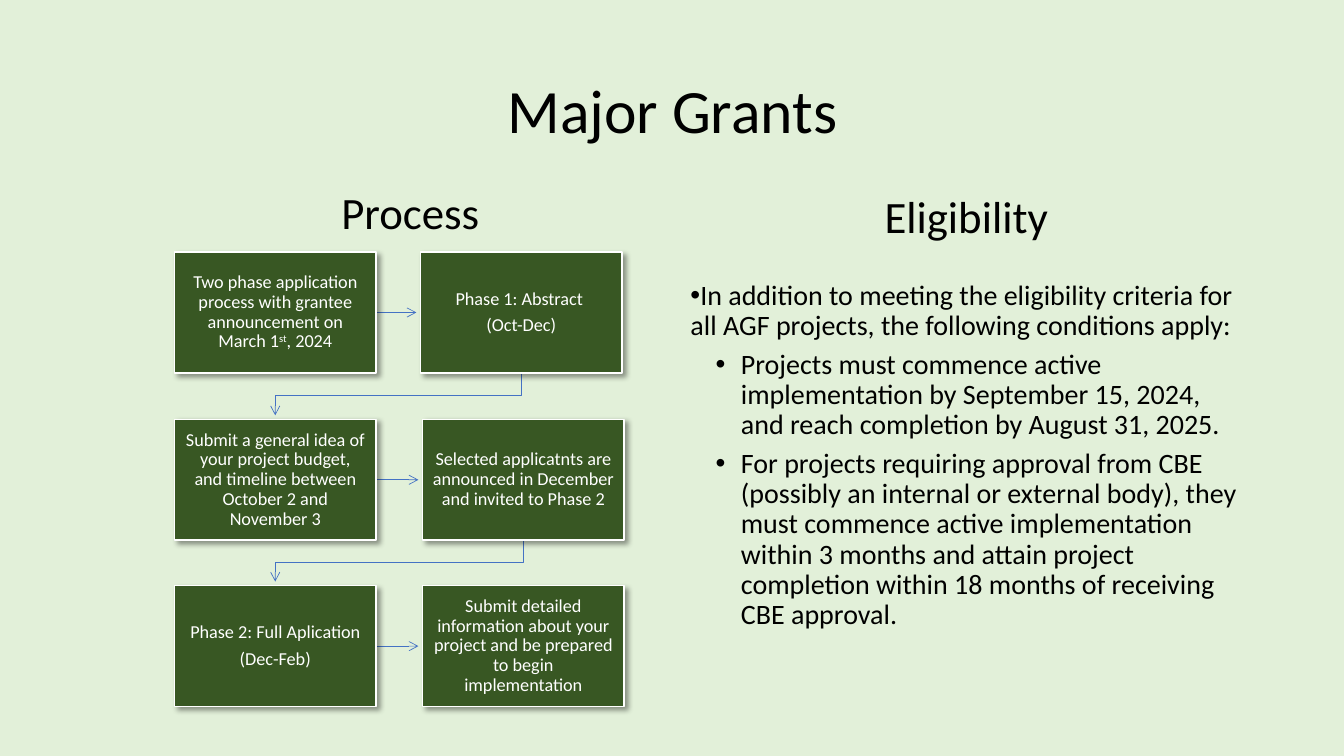
"""Build the Major Grants slide: a six-step process flow beside the eligibility conditions."""
from lxml.etree import SubElement
from pptx import Presentation
from pptx.dml.color import RGBColor
from pptx.enum.shapes import MSO_CONNECTOR, MSO_SHAPE
from pptx.enum.text import MSO_ANCHOR, PP_ALIGN
from pptx.oxml import parse_xml
from pptx.oxml.ns import nsdecls, qn
from pptx.util import Inches, Pt

COLORS = {"page": "E2F0D9", "text": "000000", "step": "385723",
          "white": "FFFFFF", "arrow": "4472C4"}
SHADOW = (f'<a:effectLst {nsdecls("a")}><a:outerShdw blurRad="50800" dist="38100" '
          'dir="2700000" algn="tl" rotWithShape="0"><a:srgbClr val="000000">'
          '<a:alpha val="40000"/></a:srgbClr></a:outerShdw></a:effectLst>')


def add_span(para, text, size, color):
    span = para.add_run()
    span.text = text
    span.font.name = "Calibri"
    span.font.size = Pt(size)
    span.font.color.rgb = RGBColor.from_string(COLORS[color])
    return span


def style_arrow(arrow):
    arrow.line.color.rgb = RGBColor.from_string(COLORS["arrow"])
    arrow.line.width = Pt(0.5)
    SubElement(arrow.line._get_or_add_ln(), qn("a:tailEnd"), type="arrow")
    SubElement(arrow._element.spPr, qn("a:effectLst"))


deck = Presentation()
deck.slide_width, deck.slide_height = Inches(13.33), Inches(7.5)
page = deck.slides.add_slide(deck.slide_layouts[6])
page.background.fill.solid()
page.background.fill.fore_color.rgb = RGBColor.from_string(COLORS["page"])

headings = [
    ("Major Grants", 44, (0.92, 0.4, 11.5, 1.45), MSO_ANCHOR.MIDDLE),
    ("Process", 32, (2.07, 1.52, 4, 0.9), MSO_ANCHOR.BOTTOM),
    ("Eligibility", 32, (6.75, 1.56, 5.67, 0.9), MSO_ANCHOR.BOTTOM),
]
for text, size, place, anchor in headings:
    box = page.shapes.add_textbox(*map(Inches, place))
    box.text_frame.word_wrap = True
    box.text_frame.vertical_anchor = anchor
    para = box.text_frame.paragraphs[0]
    para.alignment = PP_ALIGN.CENTER
    para.line_spacing = 0.9
    add_span(para, text, size, "text")

step_width, step_height = 2, 1.2
left_column = 1.73
rows = [
    (2.5, 4.17, [["Two phase application process with grantee announcement on March 1",
                  "st", ", 2024"]],
     [["Phase 1: Abstract "], ["(Oct-Dec)"]]),
    (4.16, 4.19, [["Submit a general idea of your project budget, and timeline between "
                   "October 2 and November 3"]],
     [["Selected applicatnts are announced in December and invited to Phase 2"]]),
    (5.81, 4.19, [["Phase 2: Full Aplication"], ["(Dec-Feb)"]],
     [["Submit detailed information about your project and be prepared to begin "
       "implementation"]]),
]

for index, (top, right_column, left_text, right_text) in enumerate(rows):
    middle = top + step_height / 2
    across = page.shapes.add_connector(
        MSO_CONNECTOR.STRAIGHT, Inches(left_column + step_width), Inches(middle),
        Inches(right_column - 0.04), Inches(middle))
    style_arrow(across)

    if index < len(rows) - 1:
        start_x, end_x = right_column + step_width / 2, left_column + step_width / 2
        start_y, end_y = top + step_height, rows[index + 1][0] - 0.04
        turn_y = start_y + 0.22
        outline = page.shapes.build_freeform(Inches(start_x), Inches(start_y))
        corners = [(start_x, turn_y), (end_x, turn_y), (end_x, end_y)]
        outline.add_line_segments([(Inches(x), Inches(y)) for x, y in corners], close=False)
        down = outline.convert_to_shape()
        down.fill.background()
        style_arrow(down)

    for left, paragraphs in ((left_column, left_text), (right_column, right_text)):
        step = page.shapes.add_shape(MSO_SHAPE.RECTANGLE, Inches(left), Inches(top),
                                     Inches(step_width), Inches(step_height))
        step.fill.solid()
        step.fill.fore_color.rgb = RGBColor.from_string(COLORS["step"])
        step.line.color.rgb = RGBColor.from_string(COLORS["white"])
        step.line.width = Pt(1)
        step._element.spPr.append(parse_xml(SHADOW))
        frame = step.text_frame
        frame.word_wrap = True
        frame.vertical_anchor = MSO_ANCHOR.MIDDLE
        frame.margin_left = frame.margin_right = Inches(0.1)
        frame.margin_top = frame.margin_bottom = Inches(0.1)
        for number, texts in enumerate(paragraphs):
            para = frame.add_paragraph() if number else frame.paragraphs[0]
            para.alignment = PP_ALIGN.CENTER
            para.line_spacing = 0.9
            para.space_after = Pt(4.55)
            for text in texts:
                span = add_span(para, text, 13, "white")
                if text == "st":
                    span._r.get_or_add_rPr().set("baseline", "30000")

conditions = [
    (0, "In addition to meeting the eligibility criteria for all AGF projects, "
        "the following conditions apply:"),
    (1, "Projects must commence active implementation by September 15, 2024, "
        "and reach completion by August 31, 2025."),
    (1, "For projects requiring approval from CBE (possibly an internal or external body), "
        "they must commence active implementation within 3 months and attain project "
        "completion within 18 months of receiving CBE approval."),
]
box = page.shapes.add_textbox(Inches(6.75), Inches(2.74), Inches(5.67), Inches(4.03))
frame = box.text_frame
frame.word_wrap = True
for number, (level, text) in enumerate(conditions):
    para = frame.add_paragraph() if number else frame.paragraphs[0]
    para.level = level
    para.line_spacing = 0.9
    para.space_after = Pt(6)
    properties = para._p.get_or_add_pPr()
    properties.set("marL", str(Inches(0.5 * level)))
    properties.set("indent", str(Inches(-0.25)))
    SubElement(properties, qn("a:buFont"), typeface="Arial")
    SubElement(properties, qn("a:buChar"), char="•")
    add_span(para, text, 20, "text")

deck.save("out.pptx")
